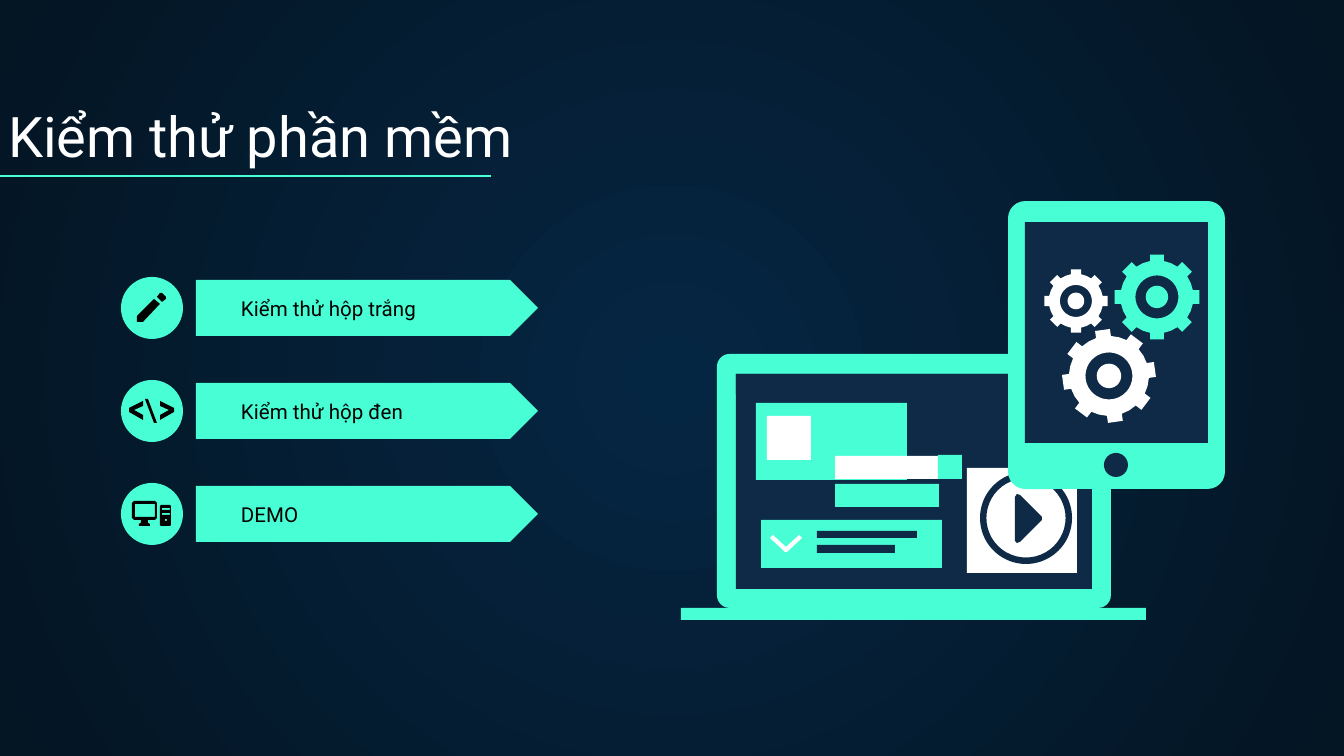
from math import asin, cos, degrees, radians, sin

from pptx import Presentation
from pptx.dml.color import RGBColor as RGB
from pptx.enum.shapes import MSO_CONNECTOR as LINK, MSO_SHAPE as KIND
from pptx.enum.text import MSO_ANCHOR as ANCHOR, MSO_AUTO_SIZE as FIT, PP_ALIGN as ALIGN
from pptx.oxml import parse_xml
from pptx.oxml.ns import nsdecls, qn
from pptx.util import Pt

PX = 914400 / 134.4  # EMU in one px
THEME = {
    "mint": RGB(0x48, 0xFF, 0xD5),
    "navy": RGB(0x0E, 0x2A, 0x47),
    "white": RGB(0xFF, 0xFF, 0xFF),
    "black": RGB(0, 0, 0),
    "glow": RGB(0x05, 0x26, 0x43),
    "edge": RGB(0x04, 0x15, 0x23),
    "title": {"name": "Roboto", "size": Pt(30), "bold": False},
    "label": {"name": "Roboto", "size": Pt(11), "bold": False},
}

deck = Presentation()
deck.slide_width, deck.slide_height = round(1344 * PX), round(756 * PX)
slide = deck.slides.add_slide(deck.slide_layouts[6])
shapes = slide.shapes


def draw(kind, box, color, adj=None):
    """Add a preset shape, or a freeform when kind is a list of outlines."""
    if box:
        item = shapes.add_shape(kind, *(round(v * PX) for v in box))
    else:
        pen = None
        for ring in kind:
            dots = [(x * PX, y * PX) for x, y in ring]
            if pen is None:
                pen = shapes.build_freeform(*dots[0])
            else:
                pen.move_to(*dots[0])
            pen.add_line_segments(dots[1:], close=True)
        item = pen.convert_to_shape()
    if adj is not None:
        item.adjustments[0] = adj
    item.shadow.inherit = False
    item.fill.solid()
    item.fill.fore_color.rgb = THEME[color]
    item.line.fill.background()
    return item


def write(text, box, style, color):
    item = shapes.add_textbox(*(round(v * PX) for v in box))
    frame = item.text_frame
    look = {"word_wrap": True, "auto_size": FIT.NONE, "vertical_anchor": ANCHOR.BOTTOM}
    for side in ("left", "right", "top", "bottom"):
        look["margin_" + side] = round(13 * PX)
    for key, val in look.items():
        setattr(frame, key, val)
    para = frame.paragraphs[0]
    para.alignment = ALIGN.LEFT
    run = para.add_run()
    run.text = text
    for key, val in THEME[style].items():
        setattr(run.font, key, val)
    run.font.color.rgb = THEME[color]


# Background: glow from the centre
back = slide.background.fill
back.gradient()
for stop, name, at in zip(back.gradient_stops, ("glow", "edge"), (0, 1)):
    stop.color.rgb, stop.position = THEME[name], at
grad = slide.element.find(".//" + qn("a:gradFill"))
grad.remove(grad.find(qn("a:lin")))
grad.append(parse_xml(
    f'<a:path {nsdecls("a")} path="circle">'
    '<a:fillToRect l="50000" t="50000" r="50000" b="50000"/></a:path>'))

# Title and its rule
write("Kiểm thử phần mềm", (-5, 93, 1152, 89), "title", "white")
rule = shapes.add_connector(LINK.STRAIGHT, 0, round(176 * PX), round(491 * PX), round(176 * PX))
rule.line.color.rgb, rule.line.width = THEME["mint"], Pt(0.75)
rule._element.spPr.append(parse_xml(f'<a:effectLst {nsdecls("a")}/>'))

# Agenda rows
for row, text in enumerate(("Kiểm thử hộp trắng", "Kiểm thử hộp đen", "DEMO")):
    top = 277 + 103 * row
    draw(KIND.PENTAGON, (196, top + 3, 342, 56), "mint", 0.5)
    draw(KIND.OVAL, (121, top, 62, 62), "mint")
    write(text, (228, top + 29, 305, 28), "label", "black")

# Pencil icon
draw([
    [(160, 293), (157, 297), (162, 302), (166, 299), (166, 297), (162, 293)],
    [(154, 299), (137, 316), (137, 322), (143, 322), (160, 304)],
], None, "black")

# Code icon: angle, slash, mirrored angle
angle = [(143, 420), (129, 412), (129, 408), (143, 401), (143, 406), (134, 410), (143, 415)]
for ring in (angle, [(145, 399), (148, 399), (157, 423), (154, 423)],
             [(303 - x, y) for x, y in angle]):
    draw([ring], None, "black")

# Computer icon: screen, tower with slots
draw([
    [(134, 501), (155, 501), (157, 503), (157, 518), (155, 520), (148, 520), (148, 523),
     (150, 524), (150, 526), (139, 526), (139, 524), (141, 523), (141, 520), (134, 520),
     (132, 518), (132, 503)],
    [(135, 504), (155, 504), (155, 517), (135, 517)],
], None, "black")
slots = [[(l, t), (r, t), (r, b), (l, b)] for l, t, r, b in
         ((162, 508, 170, 510), (162, 513, 170, 515), (165, 519, 167, 521))]
draw([[(161, 505), (170, 505), (171, 506), (171, 525), (170, 526), (161, 526),
       (160, 525), (160, 506)], *slots], None, "black")

# Laptop
draw(KIND.ROUNDED_RECTANGLE, (717, 354, 394, 254), "mint", 0.05)
for color, *box in (
    ("navy", 736, 374, 356, 215),  # screen
    ("mint", 681, 608, 465, 12),   # base
    ("navy", 736, 374, 356, 20),   # top bar
    ("mint", 756, 403, 151, 77),   # card
    ("white", 767, 416, 44, 44),
    ("mint", 809, 520, 133, 48),   # list
    ("navy", 817, 531, 100, 7),
    ("navy", 817, 545, 78, 8),
    ("mint", 761, 520, 48, 48),
    ("mint", 835, 484, 104, 23),   # fields
    ("white", 835, 456, 104, 23),
    ("mint", 938, 455, 24, 24),
    ("white", 967, 468, 110, 105),  # player
):
    draw(KIND.RECTANGLE, box, color)
draw([[(770, 538), (773, 535), (786, 547), (799, 535), (802, 538), (787, 552), (785, 552)]],
     None, "white")
draw(KIND.DONUT, (980, 472, 92, 92), "navy", 0.07)
draw([[(1015, 497), (1017, 494), (1020, 495), (1042, 517), (1042, 520), (1020, 542),
       (1017, 543), (1015, 541)]], None, "navy")

# Tablet
draw(KIND.ROUNDED_RECTANGLE, (1008, 201, 217, 288), "mint", 0.08)
draw(KIND.RECTANGLE, (1025, 222, 183, 221), "navy")
draw(KIND.OVAL, (1104, 453, 24, 24), "navy")

# Gears: eight teeth, a ring hole and a hub, all in proportion to the radius
BODY, HALF = 0.85, 0.16
root, tip = degrees(asin(HALF / BODY)), degrees(asin(HALF))
for color, mid, base, size, tilt in (
    ("mint", 1157, 297, 43, 0),
    ("white", 1076, 301, 32, 0),
    ("white", 1109, 376, 47, -8),
):
    teeth = [(step * 45 + turn, far) for step in range(8) for turn, far in
             ((-root, BODY), (-tip, 1), (tip, 1), (root, BODY), (22.5, BODY))]
    rings = [teeth] + [[(turn, far) for turn in range(0, 360, 10)] for far in (0.5, 0.26)]
    draw([[(mid + size * far * sin(radians(turn + tilt)),
            base - size * far * cos(radians(turn + tilt))) for turn, far in ring]
          for ring in rings], None, color)

deck.save("out.pptx")
